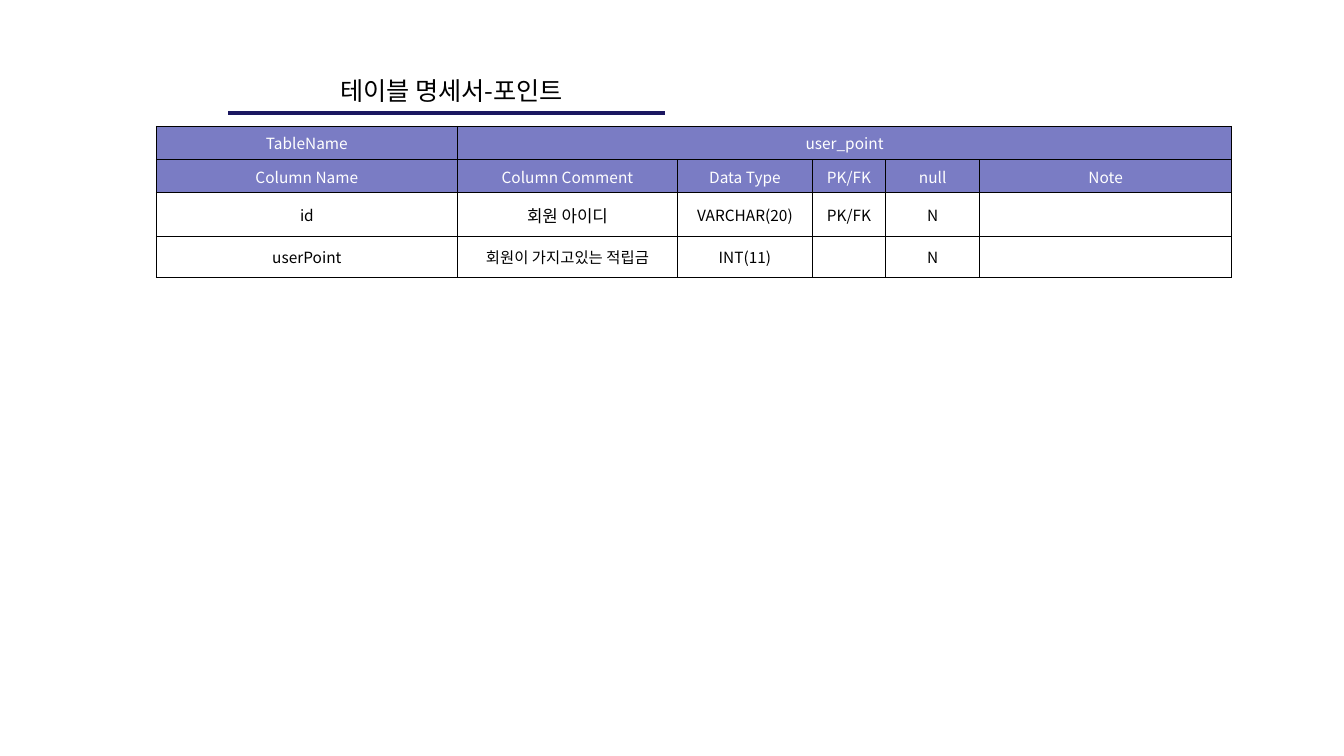
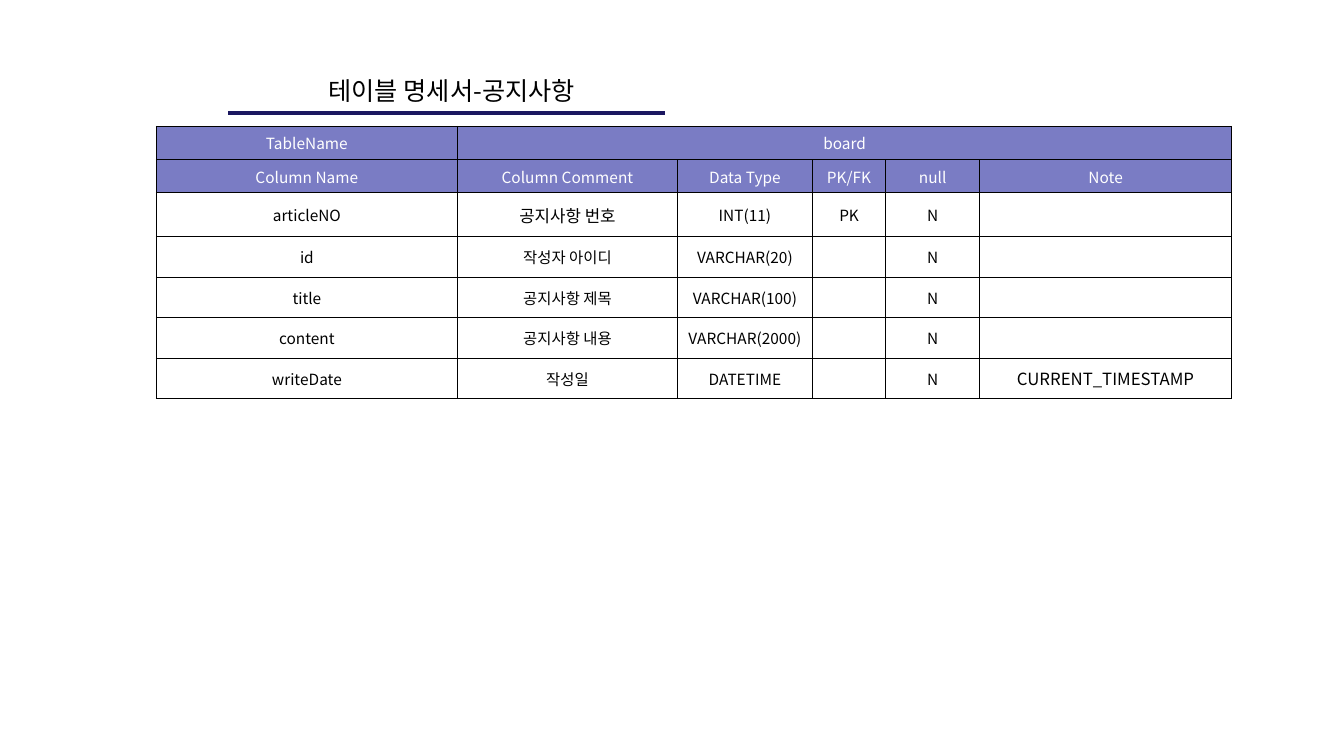
from pptx import Presentation
from pptx.dml.color import RGBColor
from pptx.enum.shapes import MSO_CONNECTOR
from pptx.enum.text import MSO_ANCHOR, PP_ALIGN
from pptx.oxml.ns import qn
from pptx.util import Pt
from lxml.etree import SubElement

SPECS = [
    {
        "title": "테이블 명세서-포인트",
        "table": "user_point",
        "fields": [
            ("id", "회원 아이디", "VARCHAR(20)", "PK/FK", "N", ""),
            ("userPoint", "회원이 가지고있는 적립금", "INT(11)", "", "N", ""),
        ],
    },
    {
        "title": "테이블 명세서-공지사항",
        "table": "board",
        "fields": [
            ("articleNO", "공지사항 번호", "INT(11)", "PK", "N", ""),
            ("id", "작성자 아이디", "VARCHAR(20)", "", "N", ""),
            ("title", "공지사항 제목", "VARCHAR(100)", "", "N", ""),
            ("content", "공지사항 내용", "VARCHAR(2000)", "", "N", ""),
            ("writeDate", "작성일", "DATETIME", "", "N", "CURRENT_TIMESTAMP"),
        ],
    },
]
HEADINGS = ("Column Name", "Column Comment", "Data Type", "PK/FK", "null", "Note")
COLUMN_WIDTHS = (215.3, 157, 96.5, 52.3, 67.1, 180)
HEADER_ROWS = 2
HEADER_HEIGHT, FIRST_FIELD_HEIGHT, FIELD_HEIGHT = 21, 31.5, 28.9
TABLE_LEFT, TABLE_TOP = 111.6, 90.2
COMMENT, NOTE = HEADINGS.index("Column Comment"), HEADINGS.index("Note")

FONT = "Noto Sans CJK KR"
BLACK = RGBColor(0x00, 0x00, 0x00)
WHITE = RGBColor(0xFF, 0xFF, 0xFF)
NAVY = RGBColor(0x1B, 0x17, 0x60)
PERIWINKLE = RGBColor(0x7A, 0x7C, 0xC4)


def style_text(paragraph, size, color):
    paragraph.alignment = PP_ALIGN.CENTER
    for run in paragraph.runs:
        run.font.size = Pt(size)
        run.font.name = FONT
        run.font.color.rgb = color
        SubElement(run.font._element, qn("a:ea"), typeface=FONT)


def add_borders(cell):
    properties = cell._tc.get_or_add_tcPr()
    for side in ("lnL", "lnR", "lnT", "lnB"):
        border = SubElement(properties, qn(f"a:{side}"), w=str(Pt(0.6)))
        fill = SubElement(border, qn("a:solidFill"))
        SubElement(fill, qn("a:srgbClr"), val=str(BLACK))


def fill_cell(cell, text, size, is_header):
    paragraph = cell.text_frame.paragraphs[0]
    if text:
        paragraph.text = text
    paragraph.line_spacing = 1.03
    style_text(paragraph, size, WHITE if is_header else BLACK)
    if not text:
        SubElement(paragraph._p, qn("a:endParaRPr"), sz=str(size * 100))
    cell.vertical_anchor = MSO_ANCHOR.MIDDLE
    add_borders(cell)
    if is_header:
        cell.fill.solid()
        cell.fill.fore_color.rgb = PERIWINKLE
    else:
        cell.fill.background()


def text_size(row, column):
    is_large = (row == HEADER_ROWS and column == COMMENT) or (row > HEADER_ROWS and column == NOTE)
    return 12 if is_large else 11


def add_spec_table(slide, name, fields):
    rows = [("TableName", name, "", "", "", ""), HEADINGS, *fields]
    heights = [HEADER_HEIGHT] * HEADER_ROWS + [FIRST_FIELD_HEIGHT]
    heights += [FIELD_HEIGHT] * (len(rows) - len(heights))
    table = slide.shapes.add_table(
        len(rows), len(HEADINGS), Pt(TABLE_LEFT), Pt(TABLE_TOP),
        Pt(sum(COLUMN_WIDTHS)), Pt(sum(heights))).table
    table.first_row = table.horz_banding = False
    for column, width in zip(table.columns, COLUMN_WIDTHS):
        column.width = Pt(width)
    for r, (values, height) in enumerate(zip(rows, heights)):
        table.rows[r].height = Pt(height)
        for c, value in enumerate(values):
            fill_cell(table.cell(r, c), value, text_size(r, c), r < HEADER_ROWS)
    table.cell(0, 1).merge(table.cell(0, len(HEADINGS) - 1))


def add_title(slide, text):
    rule = slide.shapes.add_connector(
        MSO_CONNECTOR.STRAIGHT, Pt(162.9), Pt(80.6), Pt(474.8), Pt(80.6))
    rule.line.color.rgb = NAVY
    rule.line.width = Pt(3)
    SubElement(rule._element.spPr, qn("a:effectLst"))
    title = slide.shapes.add_textbox(Pt(164.9), Pt(50.4), Pt(315.4), Pt(28))
    frame = title.text_frame
    frame.word_wrap = True
    frame.vertical_anchor = MSO_ANCHOR.MIDDLE
    frame.text = text
    style_text(frame.paragraphs[0], 18, BLACK)


def main():
    deck = Presentation()
    deck.slide_width, deck.slide_height = Pt(960), Pt(540)
    for spec in SPECS:
        slide = deck.slides.add_slide(deck.slide_layouts[6])
        add_spec_table(slide, spec["table"], spec["fields"])
        add_title(slide, spec["title"])
    deck.save("out.pptx")


if __name__ == "__main__":
    main()
